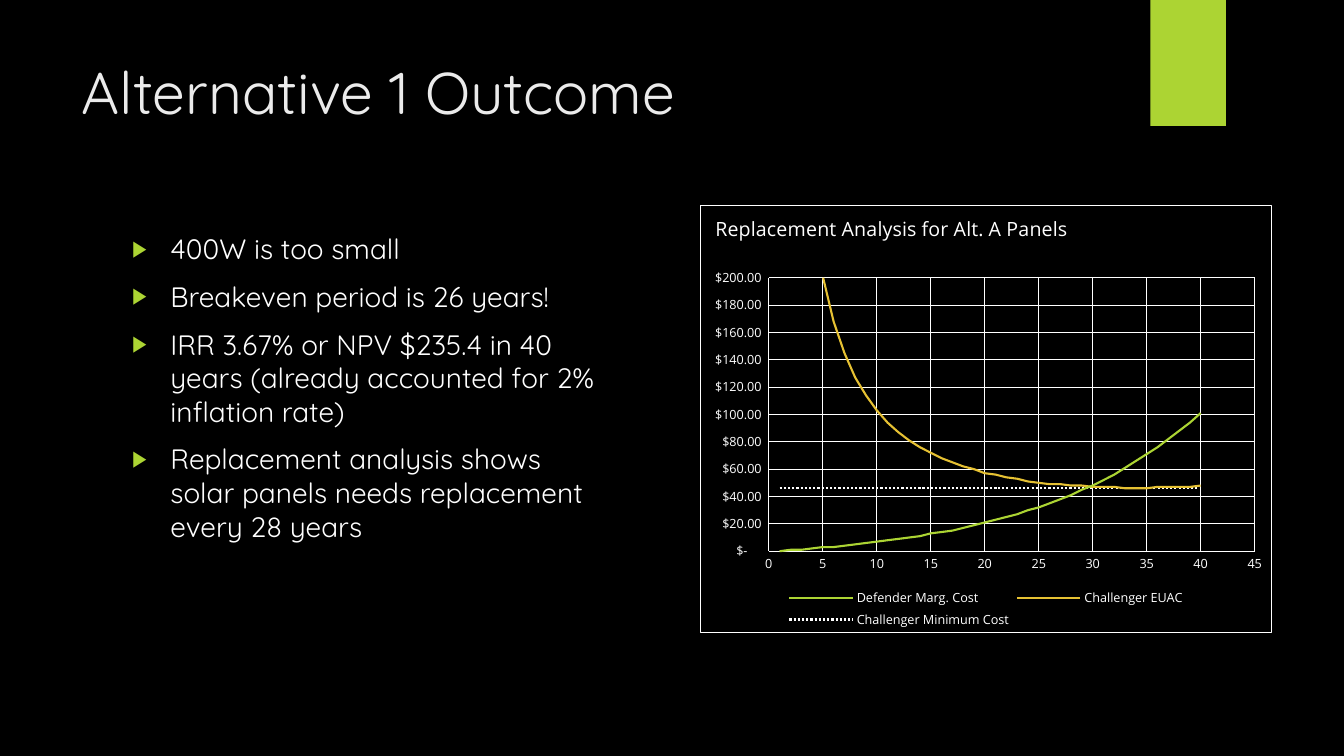
from lxml.etree import SubElement
from pptx import Presentation
from pptx.chart.data import XyChartData
from pptx.dml.color import RGBColor
from pptx.enum.chart import XL_CHART_TYPE, XL_LEGEND_POSITION, XL_TICK_MARK
from pptx.enum.dml import MSO_LINE
from pptx.enum.shapes import MSO_SHAPE
from pptx.enum.text import MSO_ANCHOR, MSO_AUTO_SIZE, PP_ALIGN
from pptx.oxml import parse_xml
from pptx.oxml.ns import nsdecls, qn
from pptx.util import Inches, Pt

GREEN, YELLOW, WHITE, BLACK = "ACD433", "E6C133", "FFFFFF", "000000"


def style_font(font, name, size, color):
    font.name = name
    font.size = Pt(size)
    font.color.rgb = RGBColor.from_string(color)


def place_manually(parent, index, **fractions):
    existing = parent.find(qn("c:layout"))
    if existing is not None:
        parent.remove(existing)
    layout = parse_xml(f"<c:layout {nsdecls('c')}/>")
    manual = SubElement(layout, qn("c:manualLayout"))
    if "w" in fractions:
        SubElement(manual, qn("c:layoutTarget")).set("val", "inner")
    for side in ("x", "y"):
        SubElement(manual, qn(f"c:{side}Mode")).set("val", "edge")
    for side, fraction in fractions.items():
        SubElement(manual, qn(f"c:{side}")).set("val", str(fraction))
    parent.insert(index, layout)


presentation = Presentation()
presentation.slide_width = Inches(13.33)
presentation.slide_height = Inches(7.5)
slide = presentation.slides.add_slide(presentation.slide_layouts[1])
slide.background.fill.solid()
slide.background.fill.fore_color.rgb = RGBColor.from_string(BLACK)

banner = slide.shapes.add_shape(
    MSO_SHAPE.RECTANGLE, Inches(11.41), 0, Inches(0.75), Inches(1.25))
banner.shadow.inherit = False
banner.fill.solid()
banner.fill.fore_color.rgb = RGBColor.from_string(GREEN)
banner.line.fill.background()

title, body = slide.shapes.title, slide.placeholders[1]
for placeholder, left, top, width, height in (
        (title, 0.71, 0.5, 10.29, 1.53), (body, 1.21, 2.25, 4.93, 4.59)):
    placeholder.left, placeholder.top = Inches(left), Inches(top)
    placeholder.width, placeholder.height = Inches(width), Inches(height)
    placeholder.text_frame.word_wrap = True
    placeholder.text_frame.auto_size = MSO_AUTO_SIZE.NONE
    placeholder.text_frame.vertical_anchor = MSO_ANCHOR.TOP

paragraph = title.text_frame.paragraphs[0]
paragraph.alignment = PP_ALIGN.LEFT
run = paragraph.add_run()
run.text = "Alternative 1 Outcome"
style_font(run.font, "Quicksand", 42, "EBEBEB")

findings = [
    "400W is too small",
    "Breakeven period is 26 years!",
    "IRR 3.67% or NPV $235.4 in 40 years (already accounted for 2% inflation rate)",
    "Replacement analysis shows solar panels needs replacement every 28 years",
]
for index, finding in enumerate(findings):
    frame = body.text_frame
    paragraph = frame.add_paragraph() if index else frame.paragraphs[0]
    paragraph.alignment = PP_ALIGN.LEFT
    paragraph.space_before = Pt(10)
    run = paragraph.add_run()
    run.text = finding
    style_font(run.font, "Quicksand", 20, WHITE)
    properties = paragraph._p.get_or_add_pPr()
    properties.set("marL", str(Inches(0.38)))
    properties.set("indent", str(-Inches(0.38)))
    bullet_color = SubElement(properties, qn("a:buClr"))
    SubElement(bullet_color, qn("a:srgbClr")).set("val", GREEN)
    SubElement(properties, qn("a:buSzPct")).set("val", "80000")
    SubElement(properties, qn("a:buChar")).set("char", "▶")

years = range(1, 41)
defender_costs = [
    0, 1, 1, 2, 3, 3, 4, 5, 6, 7, 8, 9, 10, 11, 13, 14, 15, 17, 19, 21,
    23, 25, 27, 30, 32, 35, 38, 41, 45, 48, 52, 56, 61, 66, 71, 76, 82, 88, 94, 101]
challenger_costs = [
    1000, 501, 334, 251, 201, 168, 145, 127, 114, 103, 94, 87, 81, 76, 72, 68, 65, 62, 60, 57,
    56, 54, 53, 51, 50, 49, 49, 48, 48, 47, 47, 47, 46, 46, 46, 47, 47, 47, 47, 48]
curves = [
    ("Defender Marg. Cost", defender_costs, GREEN, MSO_LINE.SOLID),
    ("Challenger EUAC", challenger_costs, YELLOW, MSO_LINE.SOLID),
    ("Challenger Minimum Cost", [46] * len(years), WHITE, MSO_LINE.ROUND_DOT),
]
chart_data = XyChartData()
for name, costs, color, dash in curves:
    series = chart_data.add_series(name)
    for year, cost in zip(years, costs):
        series.add_data_point(year, cost)

chart = slide.shapes.add_chart(
    XL_CHART_TYPE.XY_SCATTER_SMOOTH_NO_MARKERS,
    Inches(6.94), Inches(2.03), Inches(5.68), Inches(4.25), chart_data).chart
style_font(chart.font, "Open Sans", 10, WHITE)
chart.plots[0].vary_by_categories = False
for series, (name, costs, color, dash) in zip(chart.plots[0].series, curves):
    series.smooth = True
    series.format.line.width = Pt(1.5)
    series.format.line.color.rgb = RGBColor.from_string(color)
    series.format.line.dash_style = dash

dollars = '_("$"* #,##0.00_);_("$"* (#,##0.00);_("$"* "-"??_);_(@_)'
for axis, maximum, step, number_format in (
        (chart.category_axis, 45, 5, "General"), (chart.value_axis, 200, 20, dollars)):
    axis.minimum_scale, axis.maximum_scale, axis.major_unit = 0, maximum, step
    axis.major_tick_mark = axis.minor_tick_mark = XL_TICK_MARK.NONE
    axis.tick_labels.number_format = number_format
    axis.tick_labels.number_format_is_linked = False
    style_font(axis.tick_labels.font, "Open Sans", 9, WHITE)
    axis.has_major_gridlines = True
    for line in (axis.format.line, axis.major_gridlines.format.line):
        line.width = Pt(0.75)
        line.color.rgb = RGBColor.from_string(WHITE)

chart.has_legend = True
chart.legend.position = XL_LEGEND_POSITION.BOTTOM
chart.legend.include_in_layout = False
style_font(chart.legend.font, "Open Sans", 9, WHITE)

chart.has_title = True
run = chart.chart_title.text_frame.paragraphs[0].add_run()
run.text = "Replacement Analysis for Alt. A Panels"
style_font(run.font, "Open Sans", 14, WHITE)
run.font.bold = False

chart_element = chart.element.find(qn("c:chart"))
place_manually(chart_element.find(qn("c:title")), 1, x=0.02, y=0.01)
place_manually(chart_element.find(qn("c:plotArea")), 0, x=0.12, y=0.17, w=0.85, h=0.64)
chart_element.addnext(parse_xml(
    f'<c:spPr {nsdecls("c", "a")}>'
    f'<a:solidFill><a:srgbClr val="{BLACK}"/></a:solidFill>'
    f'<a:ln w="{Pt(0.75)}"><a:solidFill><a:srgbClr val="{WHITE}"/></a:solidFill></a:ln>'
    '</c:spPr>'))

presentation.save("out.pptx")
